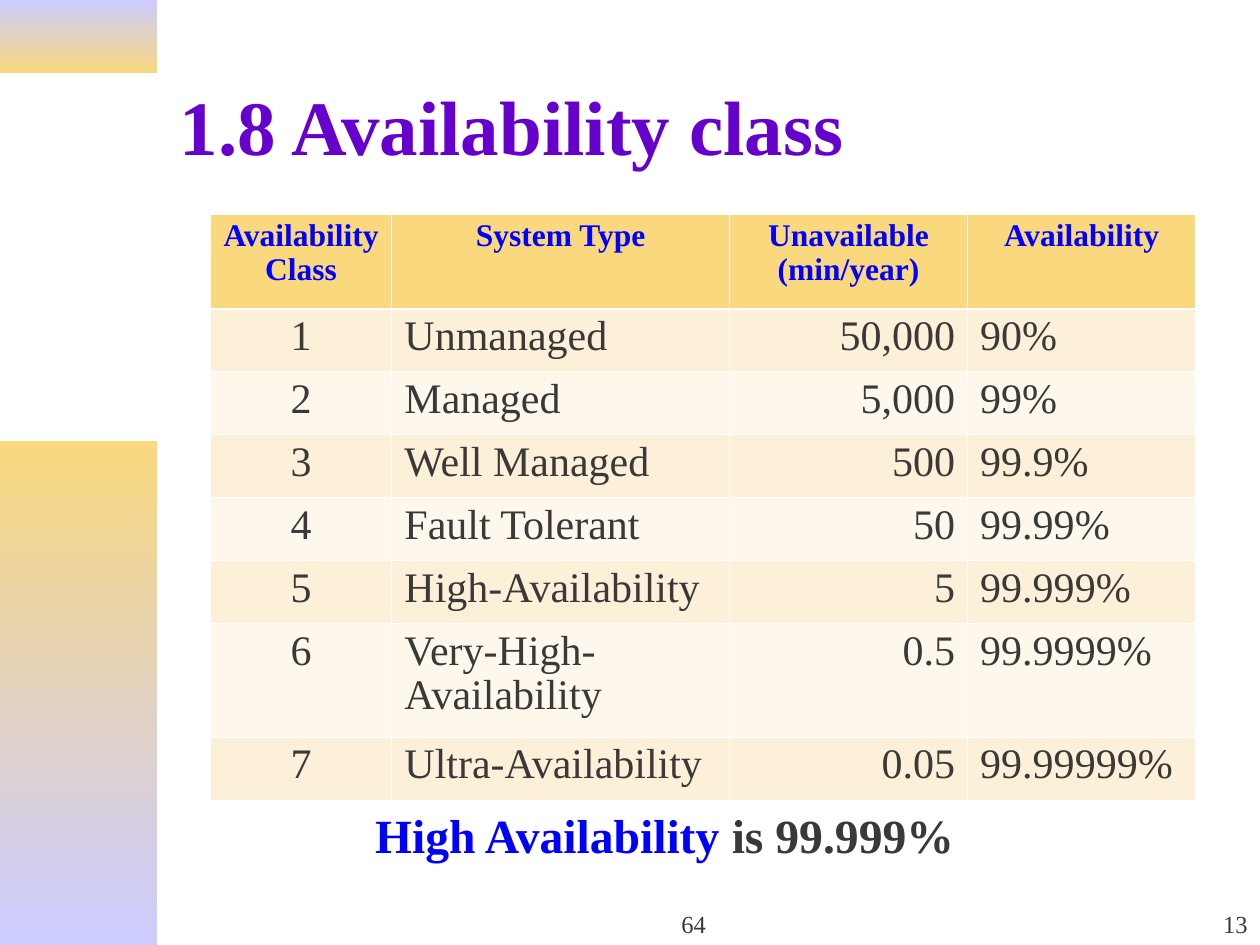
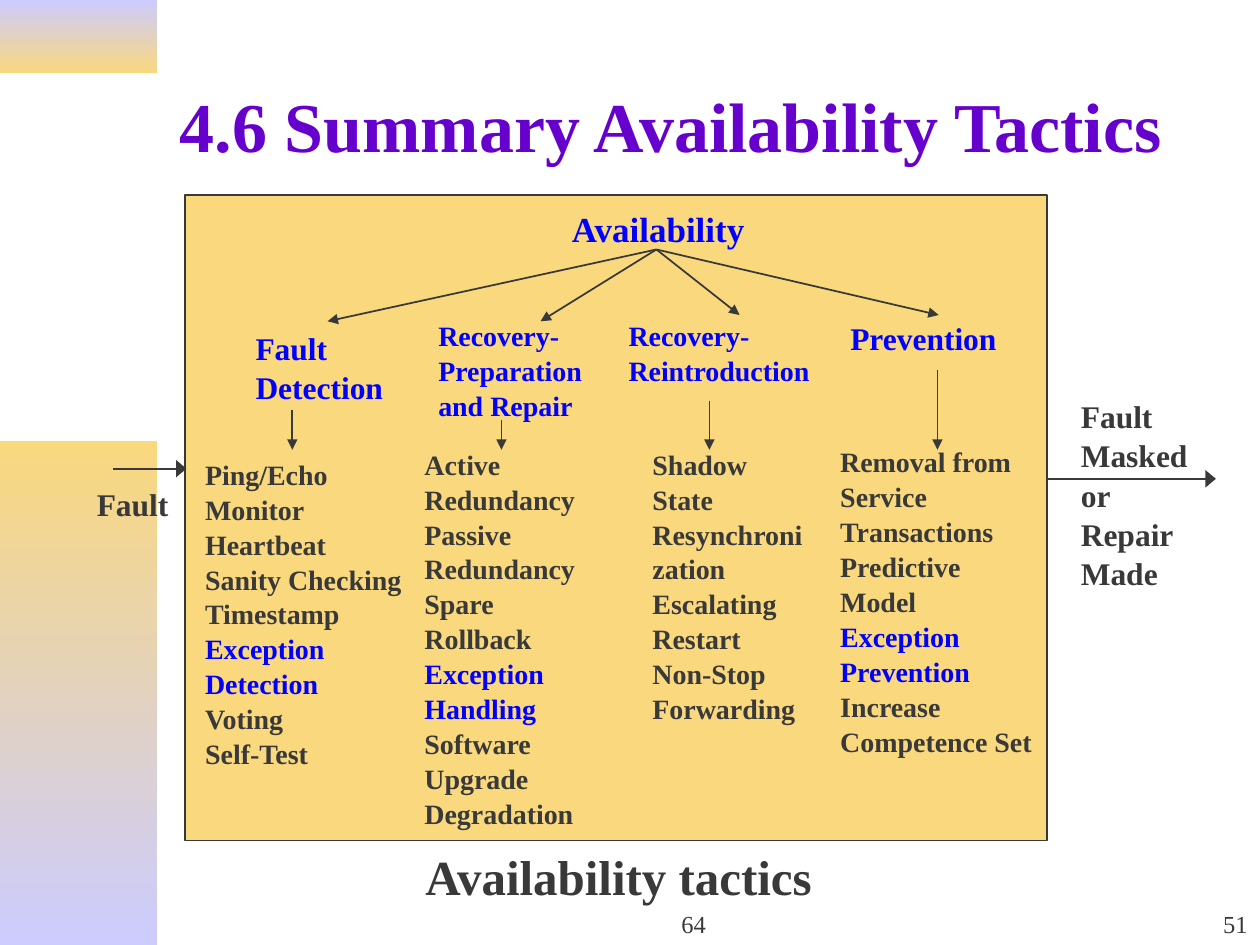
from collections import namedtuple

from lxml.etree import SubElement
from pptx import Presentation
from pptx.dml.color import RGBColor
from pptx.enum.shapes import MSO_CONNECTOR as Connector, MSO_SHAPE as Shape
from pptx.enum.text import MSO_ANCHOR as Anchor, PP_ALIGN as Align
from pptx.oxml.ns import qn
from pptx.util import Inches, Pt

WIDTH, HEIGHT = Inches(10), Inches(7.5)
COLUMN, ROW = WIDTH / 100, HEIGHT / 75
FONT = "Times New Roman"
GOLD, LILAC, PURPLE, BLUE, INK, WHITE = (
    "F9D87E", "CCCCFF", "6600CC", "0000FF", "393939", "FFFFFF")
BANDS = ("FEF8EC", "FDF0D8")

Box = namedtuple("Box", "left top width height")
Branch = namedtuple("Branch", "heading size heading_box tactics tactics_box tip stem")

CLASSES = (
    ("Availability Class", "System Type", "Unavailable (min/year)", "Availability"),
    ("1", "Unmanaged", "50,000", "90%"),
    ("2", "Managed", "5,000", "99%"),
    ("3", "Well Managed", "500", "99.9%"),
    ("4", "Fault Tolerant", "50", "99.99%"),
    ("5", "High-Availability", "5", "99.999%"),
    ("6", "Very-High-Availability", "0.5", "99.9999%"),
    ("7", "Ultra-Availability", "0.05", "99.99999%"),
)
CLASS_COLUMNS = (14.4, 26.8, 18.9, 18.1)
CLASS_ROWS = (7.5, 5, 5, 5, 5, 5, 9, 5)
CLASS_ALIGN = (Align.CENTER, Align.LEFT, Align.RIGHT, Align.LEFT)

BRANCHES = (
    Branch("Fault Detection", 18, (4.6, 10, 13.4, 7),
           ("Ping/Echo", "Monitor", "Heartbeat", "Sanity Checking", "Timestamp",
            [("Exception Detection", BLUE)], "Voting", "Self-Test"),
           (0.6, 20.2, 18.4, 25), (11.3, 10), (8.5, 17)),
    Branch("Recovery-Preparation and Repair", 16, (19.1, 9.2, 16.5, 9),
           ("Active Redundancy", "Passive Redundancy", "Spare", "Rollback",
            [("Exception Handling", BLUE)], "Software Upgrade", "Degradation"),
           (18, 19.4, 14.8, 30.3), (28.2, 10), (25.1, 17.8)),
    Branch("Recovery-Reintroduction", 16, (34.2, 9.2, 17.7, 6.4),
           ("Shadow", "State Resynchronization", "Escalating Restart",
            "Non-Stop Forwarding"),
           (36.1, 19.4, 14.2, 22.4), (44, 9.5), (41.6, 16.3)),
    Branch("Prevention", 18, (51.8, 9.2, 15, 4),
           ("Removal from Service", "Transactions", "Predictive Model",
            [("Exception Prevention", BLUE)], "Increase Competence Set"),
           (51, 19.2, 17.5, 25), (59.8, 9.5), (59.7, 13.9)),
)
HUB = (37.4, 4.3)
STEM_END = 20.2


def rgb(value):
    return RGBColor.from_string(value)


def across(columns):
    return round(columns * COLUMN)


def down(rows):
    return round(rows * ROW)


def inside(area, part):
    left, top, width, height = part
    return Box(area.left + left, area.top + top, width, height)


def emu(box):
    return across(box.left), down(box.top), across(box.width), down(box.height)


def write(frame, lines, size=18, color=INK, bold=True, align=Align.LEFT, spacing=None):
    for index, line in enumerate(lines):
        para = frame.add_paragraph() if index else frame.paragraphs[0]
        para.alignment = align
        if spacing:
            para.line_spacing = spacing
        for text, tint in [(line, color)] if isinstance(line, str) else line:
            span = para.add_run()
            span.text = text
            span.font.name, span.font.size, span.font.bold = FONT, Pt(size), bold
            span.font.color.rgb = rgb(tint)


def add_text(page, box, *lines, anchor=Anchor.TOP, **style):
    frame = page.shapes.add_textbox(*emu(box)).text_frame
    frame.word_wrap = True
    frame.vertical_anchor = anchor
    write(frame, lines, **style)


def add_rectangle(page, box):
    shape = page.shapes.add_shape(Shape.RECTANGLE, *emu(box))
    shape.shadow.inherit = False
    return shape


def add_arrow(page, area, start, end, head="med"):
    (x1, y1), (x2, y2) = start, end
    arrow = page.shapes.add_connector(
        Connector.STRAIGHT, across(area.left + x1), down(area.top + y1),
        across(area.left + x2), down(area.top + y2))
    arrow.line.color.rgb = rgb(INK)
    arrow.line.width = Pt(1)
    SubElement(arrow.line._get_or_add_ln(), qn("a:tailEnd"), type="triangle", w=head, len="med")
    SubElement(arrow._element.spPr, qn("a:effectLst"))


def add_band(page, box, *colors):
    band = add_rectangle(page, box)
    band.line.fill.background()
    band.fill.gradient()
    band.fill.gradient_angle = 270
    for stop, color in zip(band.fill.gradient_stops, colors):
        stop.color.rgb = rgb(color)


def add_page(deck, title, title_size, number):
    page = deck.slides.add_slide(deck.slide_layouts[6])
    add_band(page, Box(0, 0, 12.5, 5.8), LILAC, GOLD)
    add_band(page, Box(0, 35, 12.5, 40), GOLD, LILAC)
    add_text(page, Box(13.3, 3.3, 85, 13.2), title, size=title_size, color=PURPLE,
             anchor=Anchor.MIDDLE)
    for box, text, align in ((Box(39.2, 70, 31.7, 5), "64", Align.CENTER),
                             (Box(79.2, 70, 20.8, 5), number, Align.RIGHT)):
        add_text(page, box, text, size=14, bold=False, align=align, anchor=Anchor.BOTTOM)
    return page


def set_borders(cell, top, bottom):
    properties = cell._tc.get_or_add_tcPr()
    for side, points in (("L", 0.45), ("R", 0.45), ("T", top), ("B", bottom)):
        line = SubElement(properties, qn(f"a:ln{side}"), w=str(Pt(points)))
        SubElement(SubElement(line, qn("a:solidFill")), qn("a:srgbClr"), val=WHITE)


def add_class_table(page, area):
    table = page.shapes.add_table(len(CLASS_ROWS), len(CLASS_COLUMNS), *emu(area)).table
    for column, width in zip(table.columns, CLASS_COLUMNS):
        column.width = across(width)
    for row, height in zip(table.rows, CLASS_ROWS):
        row.height = down(height)
    for r, values in enumerate(CLASSES):
        header = r == 0
        for c, value in enumerate(values):
            cell = table.cell(r, c)
            set_borders(cell, 1.47 if r == 1 else 0.45, 1.47 if header else 0.45)
            cell.fill.solid()
            cell.fill.fore_color.rgb = rgb(GOLD if header else BANDS[r % 2])
            write(cell.text_frame, [value], size=18 if header else 24,
                  color=BLUE if header else INK, bold=header,
                  align=Align.CENTER if header else CLASS_ALIGN[c], spacing=0.95)


def add_branch(page, area, branch):
    add_text(page, inside(area, branch.heading_box), branch.heading,
             size=branch.size, color=BLUE, spacing=1.04)
    add_text(page, inside(area, branch.tactics_box), *branch.tactics, size=16, spacing=1.04)
    add_arrow(page, area, HUB, branch.tip)
    add_arrow(page, area, branch.stem, (branch.stem[0], STEM_END))


def add_tactics_panel(page, area):
    panel = add_rectangle(page, area)
    panel.fill.solid()
    panel.fill.fore_color.rgb = rgb(GOLD)
    panel.line.color.rgb = rgb(INK)
    panel.line.width = Pt(1)
    add_text(page, inside(area, (29.7, 0.5, 16, 4.4)), "Availability", size=20, color=BLUE)
    for branch in BRANCHES:
        add_branch(page, area, branch)
    add_arrow(page, area, (-5.7, 21.7), (0.1, 21.7), head="lg")
    add_text(page, inside(area, (-8, 22.5, 9.3, 4)), "Fault")
    add_arrow(page, area, (area.width, 22.5), (81.8, 22.5), head="lg")
    add_text(page, inside(area, (70.1, 15.4, 11.7, 16)), "Fault Masked or Repair Made",
             spacing=1.04)
    add_text(page, inside(area, (-2.6, area.height, 74, 5.7)), "Availability tactics",
             size=28, align=Align.CENTER)


def build_class_page(deck):
    page = add_page(deck, "1.8 Availability class", 44, "13")
    add_class_table(page, Box(16.7, 17, sum(CLASS_COLUMNS), sum(CLASS_ROWS)))
    add_text(page, Box(17.7, 63.5, 70.1, 5.5),
             [("High Availability", BLUE), (" is 99.999%", INK)],
             size=27.2, align=Align.CENTER)


def build_tactics_page(deck):
    page = add_page(deck, "4.6 Summary Availability Tactics", 40, "51")
    add_tactics_panel(page, Box(14.7, 15.5, 68.4, 51.2))


def main():
    deck = Presentation()
    deck.slide_width, deck.slide_height = WIDTH, HEIGHT
    build_class_page(deck)
    build_tactics_page(deck)
    deck.save("out.pptx")


if __name__ == "__main__":
    main()
